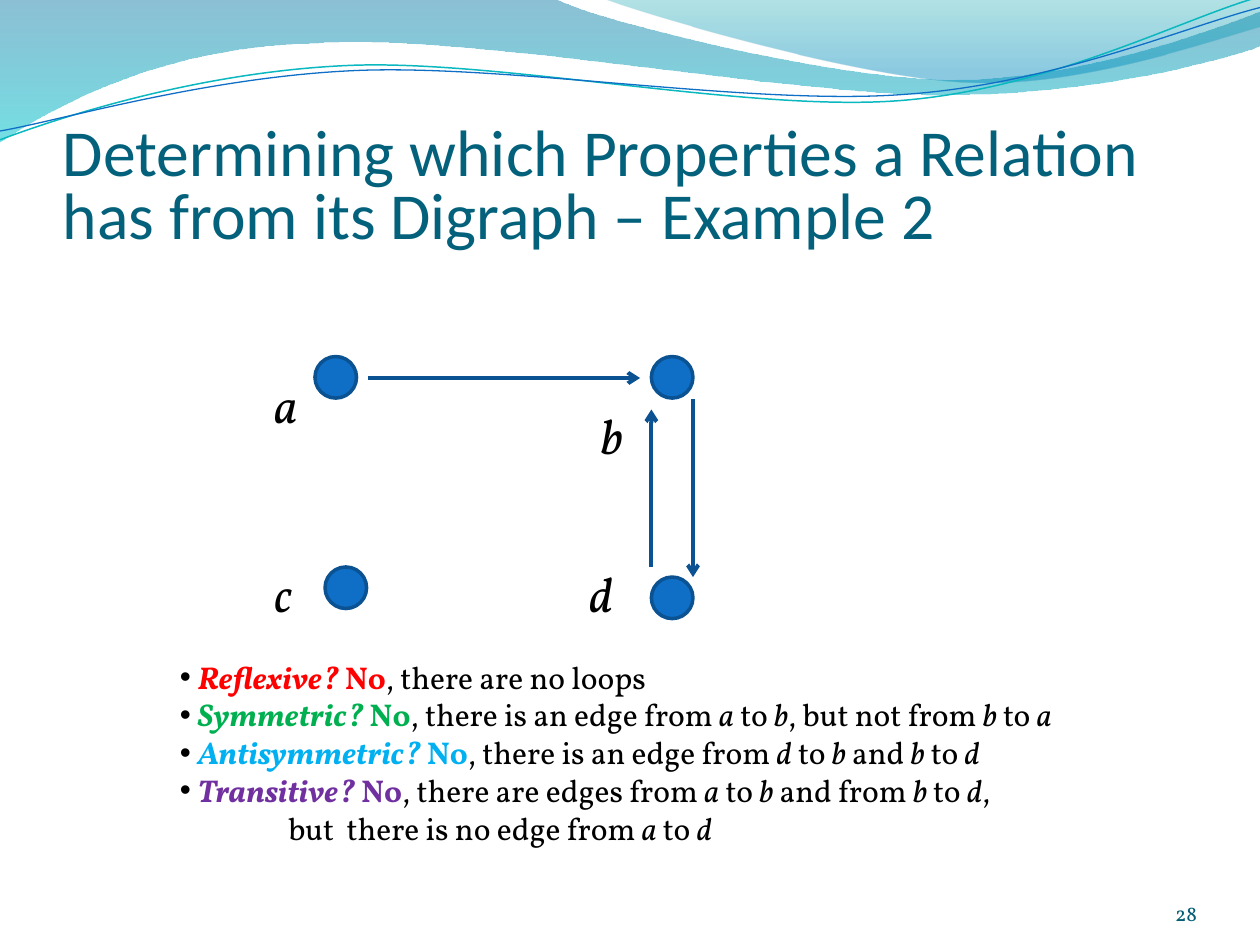
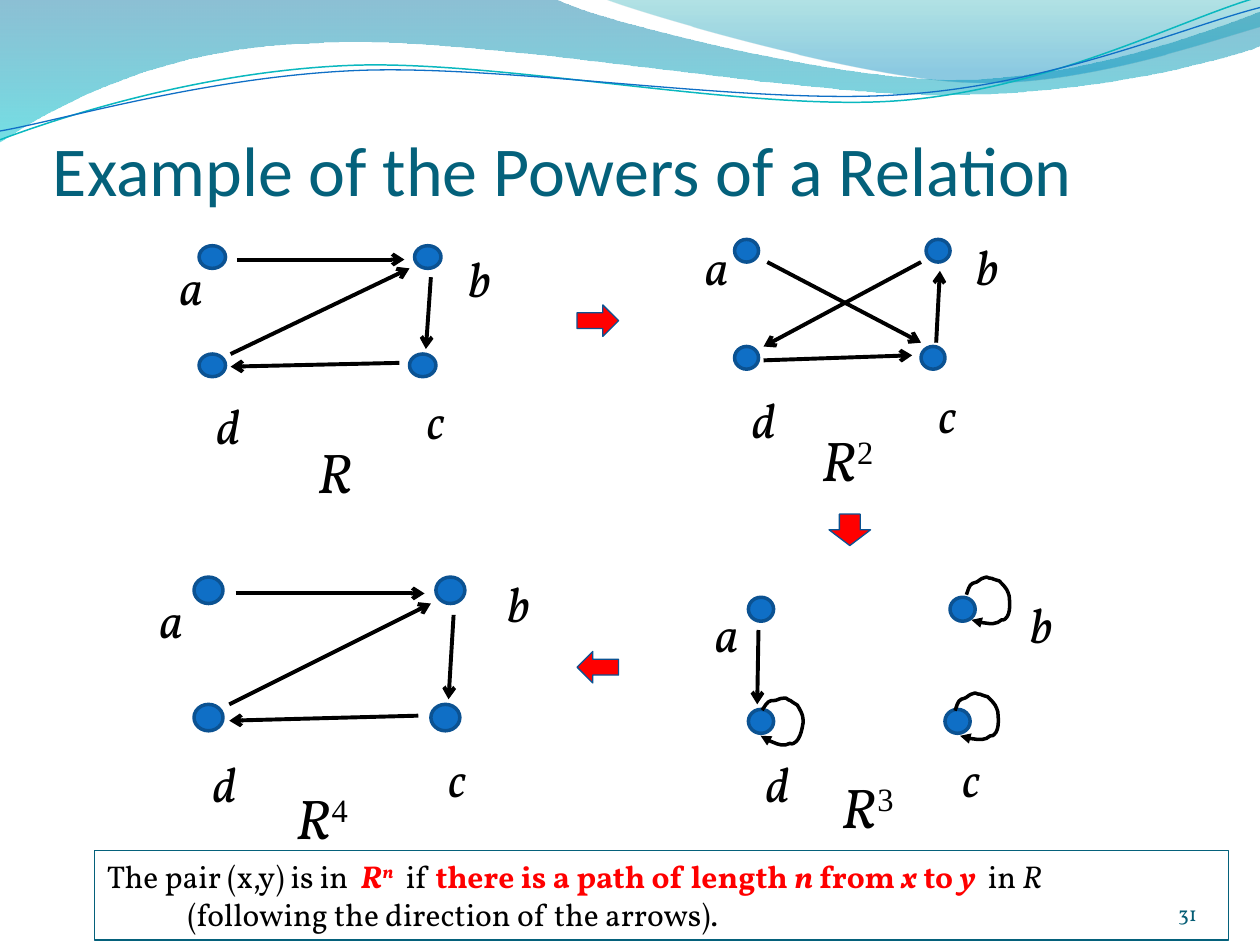
from lxml.etree import SubElement
from pptx import Presentation
from pptx.dml.color import RGBColor
from pptx.enum.shapes import MSO_CONNECTOR, MSO_SHAPE
from pptx.enum.text import MSO_ANCHOR, PP_ALIGN
from pptx.oxml.ns import qn
from pptx.util import Cm, Pt

BLACK, RED, BLUE, NAVY, TEAL = "000000", "FF0000", "0F6FC6", "0B5292", "04617B"
BODY, HEAD = "Vollkorn", "Calibri"
WIDE = (" ", {"gap": 3.4})

# Paths: a pair is a corner, six numbers are a Bezier segment (inches).
BAND = [(0, 0), (4.4, -0.01), (4.76, 0.17, 6.64, 0.63, 7.58, 0.63),
        (8.53, 0.63, 9.58, 0.26, 10, 0.09), (10.01, 0.36),
        (9.83, 0.44, 8.7, 0.76, 7.46, 0.75), (6.22, 0.75, 3.82, 0.28, 2.57, 0.34),
        (1.29, 0.36, 0.46, 0.83, -0.01, 1.13), (0, 0)]
CREST = [(4.79, -0.01), (5.09, 0.11, 6.82, 0.62, 7.69, 0.65),
         (8.56, 0.69, 9.61, 0.32, 10, 0.21), (10, 0), (4.79, -0.01)]
UPPER = [(0, 1.11), (0.48, 0.93, 1.58, 0.57, 2.77, 0.52),
         (3.95, 0.47, 5.93, 0.89, 7.13, 0.8), (8.33, 0.71, 9.38, 0.15, 9.98, -0.02)]
LOWER = [(0, 1.04), (0.47, 0.96, 1.64, 0.61, 2.83, 0.56),
         (4.03, 0.51, 5.97, 0.84, 7.17, 0.75), (8.36, 0.67, 9.41, 0.21, 10, 0.06)]
LOOP = [(0, 0.14), (0.01, 0.12, 0.02, 0.06, 0.05, 0.05),
        (0.06, 0.05, 0.07, 0.05, 0.08, 0.04), (0.09, 0.04, 0.09, 0.03, 0.11, 0.02),
        (0.12, 0.01, 0.16, 0, 0.16, 0), (0.18, 0.01, 0.19, 0.01, 0.2, 0.01),
        (0.22, 0.02, 0.26, 0.03, 0.26, 0.03), (0.29, 0.06, 0.32, 0.09, 0.33, 0.12),
        (0.34, 0.15), (0.34, 0.17, 0.36, 0.29, 0.31, 0.33),
        (0.31, 0.34, 0.29, 0.34, 0.28, 0.34), (0.27, 0.35, 0.26, 0.35, 0.25, 0.36),
        (0.2, 0.38, 0.15, 0.36, 0.1, 0.36), (0.04, 0.34)]


def rgb(code):
    return RGBColor.from_string(code)


def inch(*sizes):
    """Turn inches into lengths."""
    return [Cm(size * 2.54) for size in sizes]


def stroke(shape, color, width, tip=None):
    """Set the line, with an optional arrowhead at its end."""
    shape.line.color.rgb = rgb(color)
    shape.line.width = Pt(width)
    if tip:
        SubElement(shape._element.spPr.find(qn("a:ln")), qn("a:tailEnd"), type=tip)


def write(para, runs, size=18, font=BODY, color=BLACK, bold=False, italic=False):
    """Add (text, changes) runs; text between asterisks is italic."""
    for words, diff in runs:
        for i, part in enumerate(words.split("*")):
            if not part:
                continue
            run = para.add_run()
            run.text = part
            run.font.size = Pt(size)
            run.font.name = diff.get("font", font)
            run.font.color.rgb = rgb(diff.get("color", color))
            run.font.bold = diff.get("bold", bold)
            run.font.italic = diff.get("italic", italic or i % 2 == 1)
            if "base" in diff:
                run.font._element.set("baseline", str(diff["base"] * 1000))
            if "gap" in diff:
                run.font._element.set("spc", str(round(diff["gap"] * 100)))


def text(slide, box, runs, anchor=MSO_ANCHOR.TOP, align=PP_ALIGN.LEFT,
         inset=(0.1, 0.05, 0.1, 0.05), space=None, **style):
    """Add a text box with one paragraph and return its frame."""
    frame = slide.shapes.add_textbox(*inch(*box)).text_frame
    frame.word_wrap = True
    frame.vertical_anchor = anchor
    (frame.margin_left, frame.margin_top,
     frame.margin_right, frame.margin_bottom) = inch(*inset)
    para = frame.paragraphs[0]
    para.alignment = align
    if space:
        para.line_spacing = space
    write(para, [(runs, {})] if isinstance(runs, str) else runs, **style)
    return frame


def indent(para, left, mark=None):
    """Indent a paragraph; a mark hangs in the indent as bullet."""
    props = para._p.get_or_add_pPr()
    room = inch(left)[0]
    props.set("marL", str(room))
    props.set("indent", str(-room if mark else 0))
    if mark:
        SubElement(SubElement(props, qn("a:buClr")), qn("a:srgbClr"), val=BLACK)
        SubElement(props, qn("a:buFont"), typeface="Arial")
        SubElement(props, qn("a:buChar"), char=mark)


def solid(slide, kind, box, fill, line, width):
    shape = slide.shapes.add_shape(kind, *inch(*box))
    shape.shadow.inherit = False
    if fill:
        shape.fill.solid()
        shape.fill.fore_color.rgb = rgb(fill)
    else:
        shape.fill.background()
    stroke(shape, line, width)
    return shape


def curve(slide, nodes, close=False, left=0, top=0):
    """Draw a path whose six-number nodes become Bezier segments."""
    spots = [inch(x + left, y + top) for node in nodes
             for x, y in zip(node[::2], node[1::2])]
    pen = slide.shapes.build_freeform(*spots[0])
    pen.add_line_segments(spots[1:], close=close)
    shape = pen.convert_to_shape()
    shape.shadow.inherit = False
    shape.fill.background()
    legs = iter(list(shape._element.spPr.iter(qn("a:lnTo"))))
    for node in nodes[1:]:
        group = [next(legs) for _ in node[::2]]
        if len(group) == 3:
            bend = group[0]
            bend.tag = qn("a:cubicBezTo")
            for leg in group[1:]:
                bend.append(leg[0])
                leg.getparent().remove(leg)
    return shape


def wash(slide, nodes, stops):
    """Draw a closed path with a clear gradient from top to bottom."""
    shape = curve(slide, nodes, close=True)
    shape.line.fill.background()
    shape.fill.gradient()
    shape.fill.gradient_angle = 270
    for stop, (place, color, _) in zip(shape.fill.gradient_stops, stops):
        stop.position = place
        stop.color.rgb = rgb(color)
    tints = shape._element.spPr.iter(qn("a:srgbClr"))
    for tint, (_, _, alpha) in zip(list(tints), stops):
        SubElement(tint, qn("a:alpha"), val=str(alpha * 1000))


def base(deck):
    """Add a blank slide with the waves at its top."""
    slide = deck.slides.add_slide(deck.slide_layouts[6])
    wash(slide, BAND, [(0, "0074A1", 45), (1, "00C6CF", 55)])
    wash(slide, CREST, [(0, "00A1A9", 30), (0.8, "008BBF", 45)])
    stroke(curve(slide, UPPER), "0AB8BF", 0.85)
    stroke(curve(slide, LOWER), BLUE, 0.75)
    return slide


def title(slide, words, left, top, size, space=None):
    text(slide, (left, top, 9, 1.25), words, anchor=MSO_ANCHOR.BOTTOM,
         inset=(0, 0.05, 0, 0), space=space, size=size, font=HEAD, color=TEAL)


def number(slide, value):
    text(slide, (8.67, 6.95, 0.83, 0.4), value, anchor=MSO_ANCHOR.BOTTOM,
         align=PP_ALIGN.RIGHT, inset=(0, 0, 0, 0), size=12, color="045D75")


def edge(slide, ends, color=BLACK, width=2.25):
    link = slide.shapes.add_connector(MSO_CONNECTOR.STRAIGHT, *inch(*ends))
    stroke(link, color, width, "arrow")
    SubElement(link._element.spPr, qn("a:effectLst"))


def graph(slide, size, nodes, edges, **style):
    """Draw nodes, given as dot and label corners, and the edges."""
    for name, (x, y, left, top) in nodes.items():
        solid(slide, MSO_SHAPE.OVAL, (x, y, *size), BLUE, NAVY, 2)
        text(slide, (left, top, 0.42, 0.57), name, size=28, italic=True)
    for ends in edges:
        edge(slide, ends, **style)


def power(slide, left, top, sign=""):
    """Name a graph R, with its power raised."""
    up = {"font": "Times New Roman", "italic": False, "base": 30}
    text(slide, (left, top, 0.8, 0.64), [("R", {}), (sign, up)],
         size=32, italic=True)


def digraph(deck):
    slide = base(deck)
    graph(slide, (0.33, 0.33),
          {"a": (2.5, 2.83, 2.08, 2.92), "b": (5.17, 2.83, 4.67, 3.17),
           "c": (2.58, 4.5, 2.08, 4.42), "d": (5.17, 4.58, 4.58, 4.42)},
          [(2.92, 3, 5.08, 3), (5.17, 4.5, 5.17, 3.25), (5.5, 3.17, 5.5, 4.58)],
          color=NAVY)
    facts = [
        ("Reflexive", RED, "there are no loops"),
        ("Symmetric", "00B050",
         "there is an edge from *a* to *b*, but not from *b* to *a*"),
        ("Antisymmetric", "00B0F0",
         "there is an edge from *d* to *b* and *b* to *d*"),
        ("Transitive", "7030A0",
         "there are edges from *a* to *b* and from *b* to *d*,"),
    ]
    frame = text(slide, (1.33, 5.17, 8, 1.62), [])
    for i, (trait, color, reason) in enumerate(facts):
        para = frame.add_paragraph() if i else frame.paragraphs[0]
        indent(para, 0.14, "•")
        write(para, [(f"*{trait}?* No", {"color": color, "bold": True}),
                     (f", {reason}", {})])
    para = frame.add_paragraph()
    indent(para, 0.86)
    write(para, [("but", {}), WIDE, ("there is no edge from *a* to *d*", {})])
    title(slide, "Determining which Properties a Relation has from its "
          "Digraph – Example 2", 0.5, 0.75, 37.5, space=0.8)
    number(slide, "28")


def note(slide):
    """Add the framed rule at the foot."""
    frame = solid(slide, MSO_SHAPE.RECTANGLE, (0.75, 6.75, 9, 0.71),
                  None, TEAL, 0.75).text_frame
    frame.word_wrap = True
    frame.vertical_anchor = MSO_ANCHOR.TOP
    hot = {"color": RED, "bold": True}
    rule, more = frame.paragraphs[0], frame.add_paragraph()
    rule.alignment = more.alignment = PP_ALIGN.LEFT
    write(rule, [("The pair (x,y) is in", {}), WIDE, ("*R*", hot),
                 ("*n*", {**hot, "base": 30}), WIDE, ("if ", {}),
                 ("there is a path of length *n* from *x* to *y*", hot),
                 WIDE, ("in *R*", {})])
    indent(more, 0.64)
    write(more, [("(following the direction of the arrows).", {})])


def powers(deck):
    slide = base(deck)
    title(slide, "Example of the Powers of a Relation", 0.42, 0.42, 40)
    graph(slide, (0.21, 0.18),
          {"a": (1.58, 1.95, 1.33, 1.99), "b": (3.29, 1.95, 3.62, 1.92),
           "c": (3.25, 2.81, 3.29, 3.05), "d": (1.58, 2.81, 1.62, 3.09)},
          [(1.88, 2.06, 3.21, 2.06), (1.83, 2.81, 3.25, 2.13),
           (3.42, 2.2, 3.38, 2.77), (3.17, 2.88, 1.83, 2.91)])
    graph(slide, (0.19, 0.18),
          {"a": (5.83, 1.9, 5.5, 1.83), "b": (7.35, 1.9, 7.65, 1.83),
           "c": (7.31, 2.75, 7.35, 3), "d": (5.83, 2.75, 5.87, 3.04)},
          [(7.31, 2.08, 6.06, 2.75), (7.43, 2.72, 7.46, 2.15),
           (6.06, 2.86, 7.24, 2.82), (6.09, 2.08, 7.31, 2.72)])
    graph(slide, (0.2, 0.19),
          {"a": (5.94, 4.74, 5.58, 4.74), "b": (7.54, 4.74, 8.08, 4.67),
           "c": (7.5, 5.63, 7.54, 5.89), "d": (5.94, 5.63, 5.98, 5.93)},
          [(6.02, 5, 6.01, 5.59)])
    graph(slide, (0.23, 0.21),
          {"a": (1.54, 4.58, 1.17, 4.63), "b": (3.46, 4.58, 3.93, 4.5),
           "c": (3.42, 5.59, 3.46, 5.89), "d": (1.54, 5.59, 1.59, 5.93)},
          [(1.87, 4.71, 3.37, 4.71), (1.82, 5.59, 3.42, 4.79),
           (3.6, 4.88, 3.56, 5.55), (3.32, 5.68, 1.82, 5.72)])
    for spot in ((2.42, 3.42), (6.42, 3.33, "2"), (6.58, 6.08, "3"),
                 (2.25, 6.17, "4")):
        power(slide, *spot)
    for kind, left, top in ((MSO_SHAPE.RIGHT_ARROW, 4.58, 2.42),
                            (MSO_SHAPE.DOWN_ARROW, 6.58, 4.08),
                            (MSO_SHAPE.LEFT_ARROW, 4.58, 5.17)):
        solid(slide, kind, (left, top, 0.33, 0.25), RED, NAVY, 0.75)
    for left, top, turn in ((7.67, 4.58, 0), (7.58, 5.5, 0), (6.03, 5.54, 14.7)):
        loop = curve(slide, LOOP, left=left, top=top)
        loop.rotation = turn
        stroke(loop, BLACK, 2, "triangle")
    note(slide)
    number(slide, "31")


def main():
    deck = Presentation()
    deck.slide_width, deck.slide_height = inch(10, 7.5)
    digraph(deck)
    powers(deck)
    deck.save("out.pptx")


if __name__ == "__main__":
    main()
